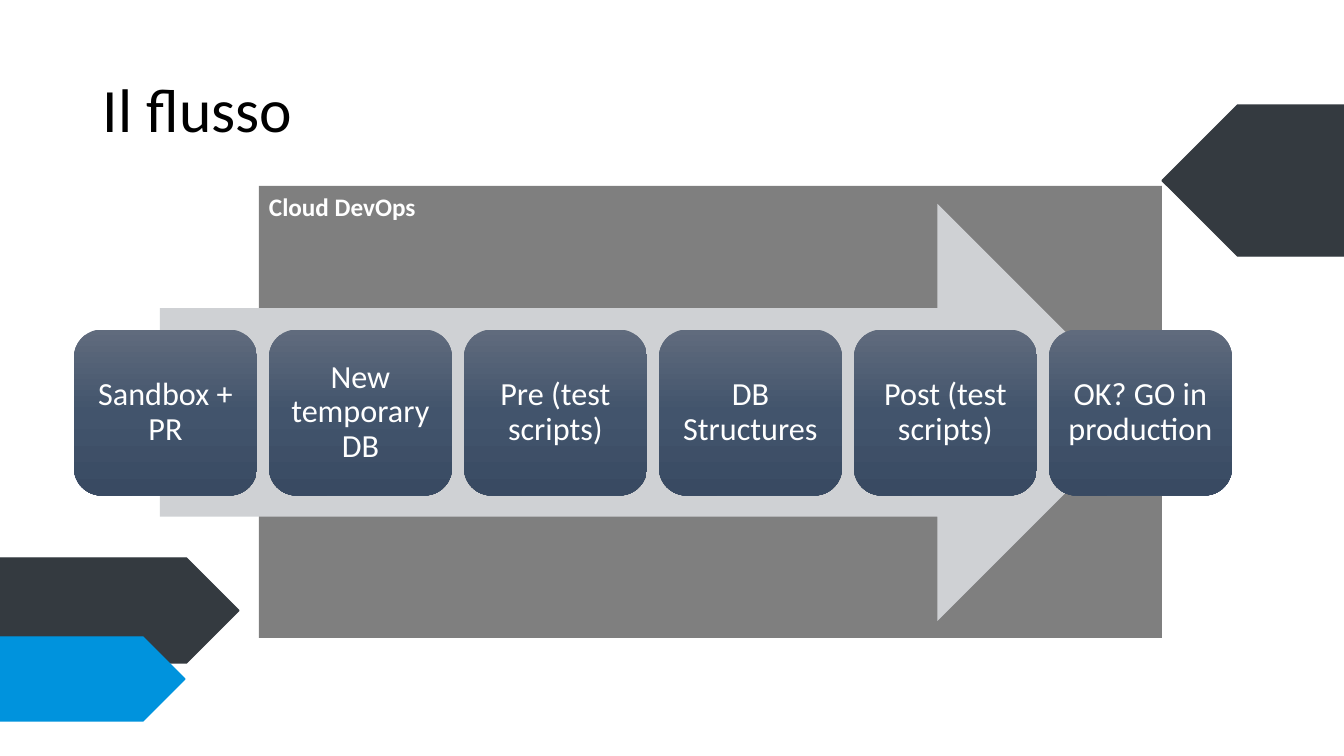
from copy import deepcopy

from lxml.etree import SubElement
from pptx import Presentation
from pptx.dml.color import RGBColor
from pptx.enum.shapes import MSO_SHAPE as Shape
from pptx.enum.text import MSO_ANCHOR as Anchor, PP_ALIGN as Align
from pptx.oxml.ns import qn
from pptx.util import Emu, Pt

EMU_PER_PX = 914400 / 100.8
FONT = "Calibri"
DARK, BLUE, WHITE, BLACK = "343A40", "0093DD", "FFFFFF", "000000"
STEP_GRADIENT = [(0, "606B7D"), (0.5, "42546C"), (1, "394A62")]
STEPS = ["Sandbox + PR", "New temporary DB", "Pre (test scripts)",
         "DB Structures", "Post (test scripts)", "OK? GO in production"]


def px(length):
    return Emu(round(length * EMU_PER_PX))


def rgb(hex_color):
    return RGBColor.from_string(hex_color)


def add_block(slide, kind, box, fill=None, line=None):
    block = slide.shapes.add_shape(kind, *map(px, box))
    block.shadow.inherit = False
    if fill:
        block.fill.solid()
        block.fill.fore_color.rgb = rgb(fill)
    if line:
        block.line.color.rgb = rgb(line)
        block.line.width = Pt(1)
    else:
        block.line.fill.background()
    return block


def write(shape, text, size, color, anchor, align=Align.LEFT, bold=False,
          margins=(10, 5), spacing=None):
    frame = shape.text_frame
    frame.word_wrap = True
    frame.vertical_anchor = anchor
    frame.margin_left = frame.margin_right = px(margins[0])
    frame.margin_top = frame.margin_bottom = px(margins[1])
    paragraph = frame.paragraphs[0]
    paragraph.text = text
    paragraph.alignment = align
    paragraph.line_spacing = spacing
    font = paragraph.font
    font.name, font.size, font.bold = FONT, Pt(size), bold
    font.color.rgb = rgb(color)


def fill_gradient(shape, stops):
    """Fill from top to bottom with (position, colour) stops."""
    shape.fill.gradient()
    shape.fill.gradient_angle = 270
    stop_list = shape._element.spPr.find(".//" + qn("a:gsLst"))
    while len(stop_list) < len(stops):
        stop_list.append(deepcopy(stop_list[0]))
    for stop, (position, color) in zip(shape.fill.gradient_stops, stops):
        stop.position = position
        stop.color.rgb = rgb(color)


def add_decoration(slide):
    right = add_block(slide, Shape.PENTAGON, (1162, 105, 672, 151), DARK, DARK)
    right.rotation = 180
    add_block(slide, Shape.PENTAGON, (0, 558, 239, 105), DARK, DARK)
    add_block(slide, Shape.PENTAGON, (0, 637, 185, 84), BLUE, BLUE)


def add_title(slide, box):
    title = slide.shapes.add_textbox(*map(px, box))
    write(title, "Il flusso", 44, BLACK, Anchor.MIDDLE, spacing=0.9)


def add_devops_panel(slide, box):
    panel = add_block(slide, Shape.RECTANGLE, box, BLACK)
    color = panel._element.spPr.find(qn("a:solidFill"))[0]
    SubElement(color, qn("a:alpha"), val="50000")
    write(panel, "Cloud DevOps", 18, WHITE, Anchor.TOP, bold=True)


def add_flow(slide, box):
    """Draw the arrow and, centred on its height, the row of steps."""
    left, top, width, height = box
    gap, step_height = 12, 166
    step_width = (width - gap * (len(STEPS) - 1)) / len(STEPS)
    add_block(slide, Shape.RIGHT_ARROW, (left + 86, top, width - 172, height), "CFD1D4")
    for i, text in enumerate(STEPS):
        step = add_block(slide, Shape.ROUNDED_RECTANGLE,
                         (left + i * (step_width + gap), top + (height - step_height) / 2,
                          step_width, step_height))
        fill_gradient(step, STEP_GRADIENT)
        write(step, text, 23, WHITE, Anchor.MIDDLE, Align.CENTER,
              margins=(10, 10), spacing=0.9)


def main():
    deck = Presentation()
    deck.slide_width, deck.slide_height = px(1344), px(756)
    slide = deck.slides.add_slide(deck.slide_layouts[6])
    add_decoration(slide)
    add_title(slide, (93, 40, 1159, 146))
    add_devops_panel(slide, (259, 186, 903, 452))
    add_flow(slide, (74, 204, 1158, 417))
    deck.save("out.pptx")


if __name__ == "__main__":
    main()
